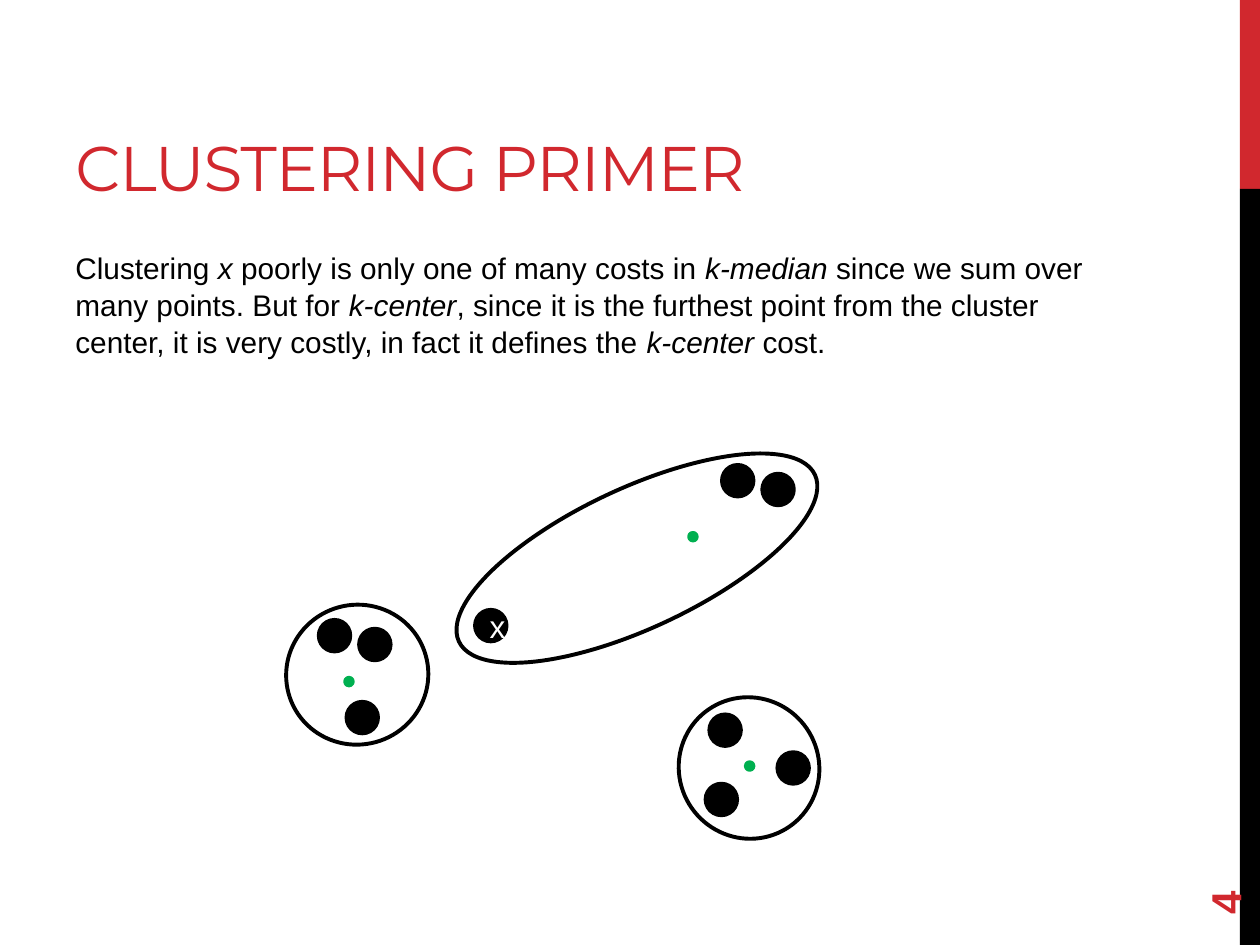
"""Build the clustering primer slide on a grid of 40 columns by 30 rows."""
from dataclasses import dataclass
from typing import Any

import pptx
import pptx.dml.color
import pptx.enum.shapes
import pptx.enum.text
import pptx.util

RGBColor = pptx.dml.color.RGBColor
Shape = pptx.enum.shapes.MSO_SHAPE
Anchor = pptx.enum.text.MSO_ANCHOR
Align = pptx.enum.text.PP_ALIGN
Pt = pptx.util.Pt

RED = RGBColor(0xD1, 0x28, 0x2E)
BLACK = RGBColor(0x00, 0x00, 0x00)
WHITE = RGBColor(0xFF, 0xFF, 0xFF)
GREEN = RGBColor(0x00, 0xB0, 0x50)

COLUMNS, ROWS = 40, 30
POINT_SIZE, CENTER_SIZE = 1, 0.24
OUTLINE_WIDTH = Pt(2.25)


@dataclass(frozen=True)
class Box:
    column: float
    row: float
    width: float
    height: float


@dataclass(frozen=True)
class Point:
    column: float
    row: float
    label: str = ""


@dataclass(frozen=True)
class Cluster:
    middle: Point
    width: float
    height: float
    rotation: float
    center: Point
    members: tuple[Point, ...]


@dataclass(frozen=True)
class Passage:
    box: Box
    runs: tuple[tuple[str, bool], ...]
    font: dict[str, Any]
    color: RGBColor
    anchor: Any
    rotation: float = 0
    line_spacing: float = 1.0
    tracking: int = 0


BARS = (
    (Box(39.36, 0, 0.64, 6), RED),
    (Box(39.36, 6, 0.64, 24), BLACK),
)

PASSAGES = (
    Passage(
        Box(2, 0.68, 25.32, 6), (("CLUSTERING PRIMER", False),),
        {"name": "Montserrat", "size": Pt(36)}, RED, Anchor.BOTTOM, tracking=-60,
    ),
    Passage(
        Box(2, 7.68, 33.32, 3.84),
        (
            ("Clustering ", False),
            ("x", True),
            (" poorly is only one of many costs in ", False),
            ("k-median", True),
            (" since we sum over many points. But for ", False),
            ("k-center", True),
            (", since it is the furthest point from the cluster center, "
             "it is very costly, in fact it defines the ", False),
            ("k-center", True),
            (" cost.", False),
        ),
        {"name": "Arial", "size": Pt(17)}, BLACK, Anchor.TOP, line_spacing=1.04,
    ),
    Passage(
        Box(36, 25.76, 5.76, 1.6), (("4", False),),
        {"name": "Arial", "size": Pt(24), "bold": True}, RED, Anchor.MIDDLE, rotation=270,
    ),
)

CLUSTERS = (
    Cluster(
        Point(23.78, 24.38), 4.44, 4.52, 325.4, Point(23.8, 24.32),
        (Point(23.02, 23.18), Point(25.18, 24.38), Point(22.9, 25.38)),
    ),
    Cluster(
        Point(11.34, 21.42), 4.44, 4.52, 74.7, Point(11.08, 21.64),
        (Point(10.62, 20.18), Point(11.9, 20.46), Point(11.5, 22.78)),
    ),
    Cluster(
        Point(20.22, 17.72), 4.44, 12.48, 64.9, Point(22, 17.04),
        (Point(23.42, 15.26), Point(24.7, 15.54), Point(15.58, 19.86, "x")),
    ),
)

deck = pptx.Presentation()
deck.slide_width, deck.slide_height = pptx.util.Inches(10), pptx.util.Inches(7.5)
slide = deck.slides.add_slide(deck.slide_layouts[6])


def apply(target: Any, values: dict[str, Any]) -> None:
    """Set each format value on the target."""
    for attribute, value in values.items():
        setattr(target, attribute, value)


def place(box: Box) -> tuple[int, int, int, int]:
    """Convert grid cells to slide lengths."""
    cell_width, cell_height = deck.slide_width / COLUMNS, deck.slide_height / ROWS
    return (
        round(box.column * cell_width), round(box.row * cell_height),
        round(box.width * cell_width), round(box.height * cell_height),
    )


def around(middle: Point, width: float, height: float) -> Box:
    """Return the box centred on a point."""
    return Box(middle.column - width / 2, middle.row - height / 2, width, height)


def draw_shape(kind: Any, box: Box, fill: RGBColor | None, line: RGBColor | None) -> Any:
    """Draw a preset shape with optional fill and outline."""
    drawn = slide.shapes.add_shape(kind, *place(box))
    drawn.shadow.inherit = False
    for paint, color in ((drawn.fill, fill), (drawn.line.fill, line)):
        if color is None:
            paint.background()
        else:
            paint.solid()
            paint.fore_color.rgb = color
    if line is not None:
        drawn.line.width = OUTLINE_WIDTH
    return drawn


def draw_passage(passage: Passage) -> None:
    """Draw a text box of plain and italic runs."""
    holder = slide.shapes.add_textbox(*place(passage.box))
    holder.rotation = passage.rotation
    apply(holder.text_frame, {"word_wrap": True, "vertical_anchor": passage.anchor})
    paragraph = holder.text_frame.paragraphs[0]
    apply(paragraph, {"alignment": Align.LEFT, "line_spacing": passage.line_spacing})
    for wording, italic in passage.runs:
        run = paragraph.add_run()
        run.text = wording
        apply(run.font, passage.font | {"italic": italic})
        run.font.color.rgb = passage.color
        if passage.tracking:
            run.font._element.set("spc", str(passage.tracking))


def draw_member(point: Point) -> None:
    """Draw a data point with its label, if any."""
    member = draw_shape(Shape.OVAL, around(point, POINT_SIZE, POINT_SIZE), BLACK, BLACK)
    if point.label:
        member.text_frame.vertical_anchor = Anchor.MIDDLE
        paragraph = member.text_frame.paragraphs[0]
        paragraph.alignment = Align.CENTER
        label = paragraph.add_run()
        label.text = point.label
        apply(label.font, {"name": "Arial", "size": Pt(18)})
        label.font.color.rgb = WHITE


def draw_cluster(cluster: Cluster) -> None:
    """Draw a cluster outline, its points and its center."""
    boundary = around(cluster.middle, cluster.width, cluster.height)
    draw_shape(Shape.OVAL, boundary, None, BLACK).rotation = cluster.rotation
    for member in cluster.members:
        draw_member(member)
    draw_shape(Shape.OVAL, around(cluster.center, CENTER_SIZE, CENTER_SIZE), GREEN, GREEN)


def main() -> None:
    """Draw the whole slide and save it."""
    for box, color in BARS:
        draw_shape(Shape.RECTANGLE, box, color, None)
    for passage in PASSAGES:
        draw_passage(passage)
    for cluster in CLUSTERS:
        draw_cluster(cluster)
    deck.save("out.pptx")


if __name__ == "__main__":
    main()
